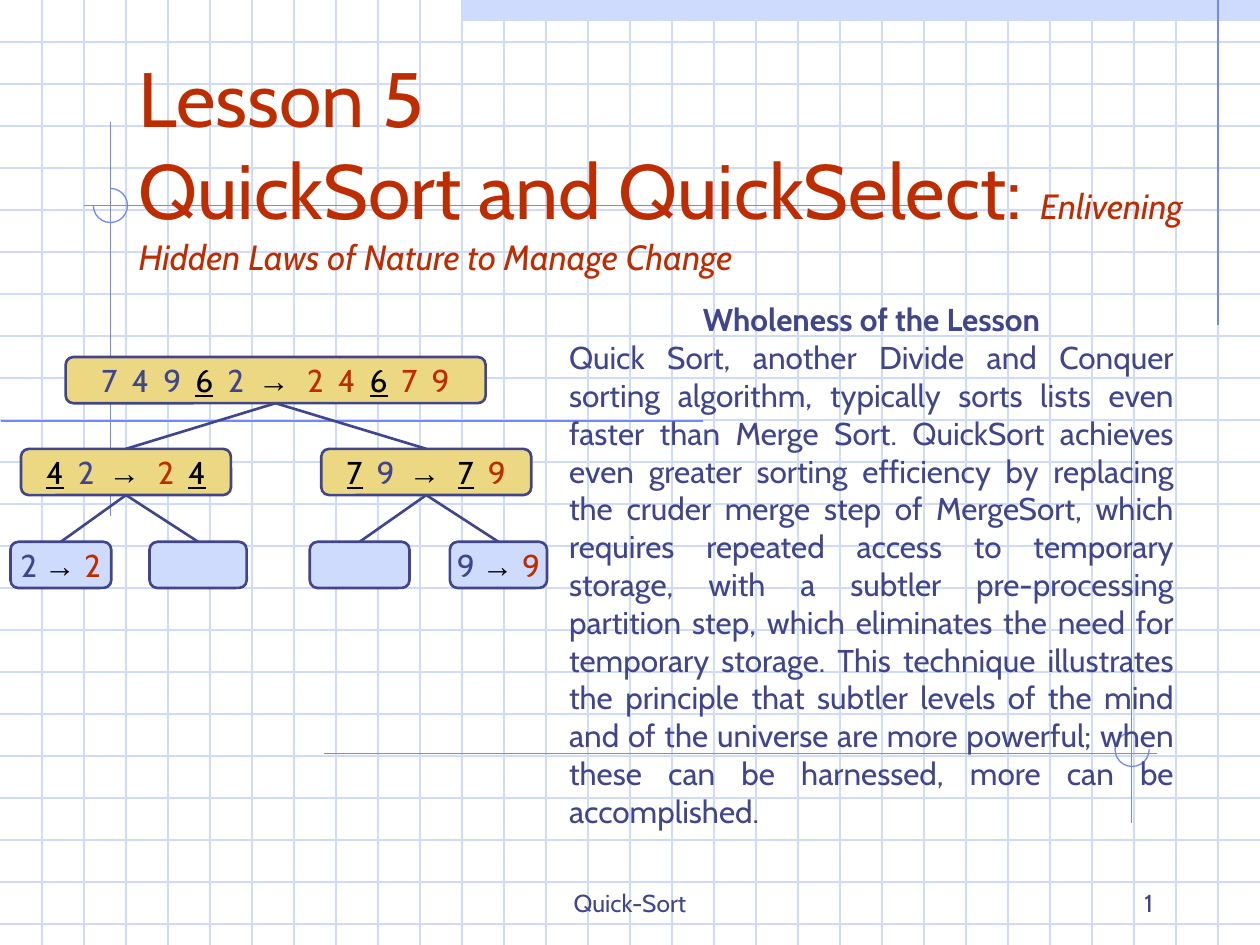
from dataclasses import dataclass
from lxml.etree import SubElement
from pptx import Presentation
from pptx.dml.color import RGBColor
from pptx.enum.shapes import MSO_CONNECTOR, MSO_SHAPE
from pptx.enum.text import MSO_ANCHOR, MSO_AUTO_SIZE, PP_ALIGN
from pptx.oxml.ns import qn
from pptx.util import Inches, Pt

COLS, ROWS, STEP = 120, 90, 4   # units of 1/12 inch, a ruled line every 4


@dataclass(frozen=True)
class Theme:
    font: str = "Cabin"
    sign: str = "Arial"
    ink: str = "40458C"
    red: str = "BE2D00"
    dark: str = "000000"
    pale: str = "CFDBFD"
    blue: str = "6F89F7"
    gold: str = "ECD882"
    head: int = 44
    sub: int = 20
    text: int = 18
    foot: int = 14
    thin: float = 0.75
    bold: float = 1.5


def unit(num):
    return Inches(num / 12)


def write(para, text, font, size, color, **marks):
    """Add a run; each line feed in text becomes a line break."""
    for num, line in enumerate(text.split("\n")):
        if num:
            para.add_line_break()
        run = para.add_run()
        run.text = line
        run.font.name, run.font.size = font, Pt(size)
        run.font.color.rgb = RGBColor.from_string(color)
        for name, value in marks.items():
            setattr(run.font, name, value)


class Deck:
    def __init__(self, theme):
        self.theme = theme
        self.file = Presentation()
        self.file.slide_width, self.file.slide_height = unit(COLS), unit(ROWS)
        self.slide = self.file.slides.add_slide(self.file.slide_layouts[1])
        self.shapes = self.slide.shapes

    def line(self, x1, y1, x2, y2, color, width):
        link = self.shapes.add_connector(
            MSO_CONNECTOR.STRAIGHT, unit(x1), unit(y1), unit(x2), unit(y2))
        link.line.color.rgb = RGBColor.from_string(color)
        link.line.width = Pt(width)
        SubElement(link.element.spPr, qn("a:effectLst"))
        return link

    def shape(self, kind, x, y, w, h, fill=None, line=None, width=0):
        item = self.shapes.add_shape(kind, unit(x), unit(y), unit(w), unit(h))
        item.shadow.inherit = False
        if fill:
            item.fill.solid()
            item.fill.fore_color.rgb = RGBColor.from_string(fill)
        else:
            item.fill.background()
        if line:
            item.line.color.rgb = RGBColor.from_string(line)
            item.line.width = Pt(width)
        else:
            item.line.fill.background()
        return item

    def arc(self, x, y, start, end):
        """Draw a clockwise arc; angles in degrees from the right."""
        item = self.shape(MSO_SHAPE.ARC, x, y, 3.25, 3.25,
                          line=self.theme.blue, width=self.theme.thin)
        for num, angle in enumerate((start, end)):
            item.adjustments[num] = angle * 0.6

    def node(self, x, y, w, fill, runs):
        t = self.theme
        item = self.shape(MSO_SHAPE.ROUNDED_RECTANGLE, x, y, w, 4.4,
                          fill, t.ink, t.bold)
        frame = item.text_frame
        frame.word_wrap = False
        frame.vertical_anchor = MSO_ANCHOR.MIDDLE
        para = frame.paragraphs[0]
        para.alignment = PP_ALIGN.CENTER
        looks = {
            "raw": dict(font=t.font, color=t.ink),
            "pivot": dict(font=t.font, color=t.dark, underline=True),
            "to": dict(font=t.sign, color=t.dark, bold=True),
            "done": dict(font=t.font, color=t.red),
        }
        for look, text in runs:
            write(para, text, size=t.text, **looks[look])
        return item

    def edge(self, top, low):
        """Join the foot of one node to the head of another."""
        link = self.line(0, 0, 1, 1, self.theme.ink, self.theme.bold)
        link.begin_connect(top, 2)
        link.end_connect(low, 0)

    def holder(self, num, x, y, w, h, anchor):
        """Move a placeholder above the ruled paper and clear its list style."""
        item = self.slide.placeholders[num]
        item.left, item.top, item.width, item.height = map(unit, (x, y, w, h))
        item.element.getparent().append(item.element)
        frame = item.text_frame
        frame.word_wrap = True
        frame.auto_size = MSO_AUTO_SIZE.NONE
        frame.vertical_anchor = anchor
        return frame

    def plain(self, para, align):
        props = para._p.get_or_add_pPr()
        props.set("marL", "0")
        props.set("indent", "0")
        SubElement(props, qn("a:buNone"))
        para.alignment = align
        para.space_before = Pt(0)
        return para

    def note(self, text, x, w, align):
        box = self.shapes.add_textbox(unit(x), unit(82), unit(w), unit(6))
        frame = box.text_frame
        frame.word_wrap = True
        frame.vertical_anchor = MSO_ANCHOR.BOTTOM
        para = frame.paragraphs[0]
        para.alignment = align
        write(para, text, self.theme.font, self.theme.foot, self.theme.ink)


def paper(deck):
    t = deck.theme
    deck.shape(MSO_SHAPE.RECTANGLE, 44, 0, 76, 2, t.pale)
    for y in range(STEP, ROWS, STEP):
        deck.line(0, y, COLS, y, t.pale, t.thin)
    for x in range(STEP, COLS, STEP):
        deck.line(x, 0, x, ROWS, t.pale, t.thin)
    for ends in ((116, 0, 116, 31), (10.5, 11.65, 10.5, 49.1),
                 (67, 40.1, 0.1, 40.1), (87.35, 19.55, 8, 19.55),
                 (30.85, 71.75, 110.15, 71.75), (107.75, 40.7, 107.75, 78.35)):
        deck.line(*ends, t.blue, t.thin)
    deck.arc(8.9, 17.95, 270, 180)
    deck.arc(106.2, 69.75, 0, 270)


def tree(deck):
    t = deck.theme
    root = deck.node(6.25, 34, 40, t.gold, [
        ("raw", "7  4  9  "), ("pivot", "6"), ("raw", "  2  "), ("to", "→  "),
        ("done", "2  4  "), ("pivot", "6"), ("done", "  7  9")])
    left = deck.node(2, 42.75, 20, t.gold, [
        ("pivot", "4"), ("raw", "  2  "), ("to", "→  "),
        ("done", "2  "), ("pivot", "4")])
    right = deck.node(30.6, 42.75, 20, t.gold, [
        ("pivot", "7"), ("raw", "  9  "), ("to", "→  "),
        ("pivot", "7"), ("done", "  9")])
    leaves = [deck.node(x, 51.6, w, t.pale, [
        ("raw", f"{key} "), ("to", "→ "), ("done", key)] if key else [])
        for x, w, key in ((1, 9.6, "2"), (14.25, 9.25, ""),
                          (29.5, 9.5, ""), (42.85, 9.25, "9"))]
    for top, lows in ((root, (left, right)), (left, leaves[:2]),
                      (right, leaves[2:])):
        for low in lows:
            deck.edge(top, low)


def words(deck):
    t = deck.theme
    title = deck.holder(0, 12, 12, 102, 15, MSO_ANCHOR.BOTTOM)
    para = deck.plain(title.paragraphs[0], PP_ALIGN.LEFT)
    write(para, "Lesson 5\nQuickSort and QuickSelect: ", t.font, t.head, t.red)
    write(para, "Enlivening Hidden Laws of Nature to Manage Change",
          t.font, t.sub, t.red, italic=True)

    body = deck.holder(1, 53, 28, 60, 55.2, MSO_ANCHOR.TOP)
    para = deck.plain(body.paragraphs[0], PP_ALIGN.CENTER)
    write(para, "Wholeness of the Lesson", t.font, t.text, t.ink, bold=True)
    para = deck.plain(body.add_paragraph(), PP_ALIGN.JUSTIFY)
    write(para, (
        "Quick Sort, another Divide and Conquer sorting algorithm, typically "
        "sorts lists even faster than Merge Sort. QuickSort achieves even "
        "greater sorting efficiency by replacing the cruder merge step of "
        "MergeSort, which requires repeated access to temporary storage, with "
        "a subtler pre-processing partition step, which eliminates the need "
        "for temporary storage. This technique illustrates the principle that "
        "subtler levels of the mind and of the universe are more powerful; "
        "when these can be harnessed, more can be accomplished."),
        t.font, t.text, t.ink)
    deck.note("Quick-Sort", 41, 38, PP_ALIGN.CENTER)
    deck.note("1", 86, 25, PP_ALIGN.RIGHT)


def main():
    deck = Deck(Theme())
    paper(deck)
    tree(deck)
    words(deck)
    deck.file.save("out.pptx")


if __name__ == "__main__":
    main()
